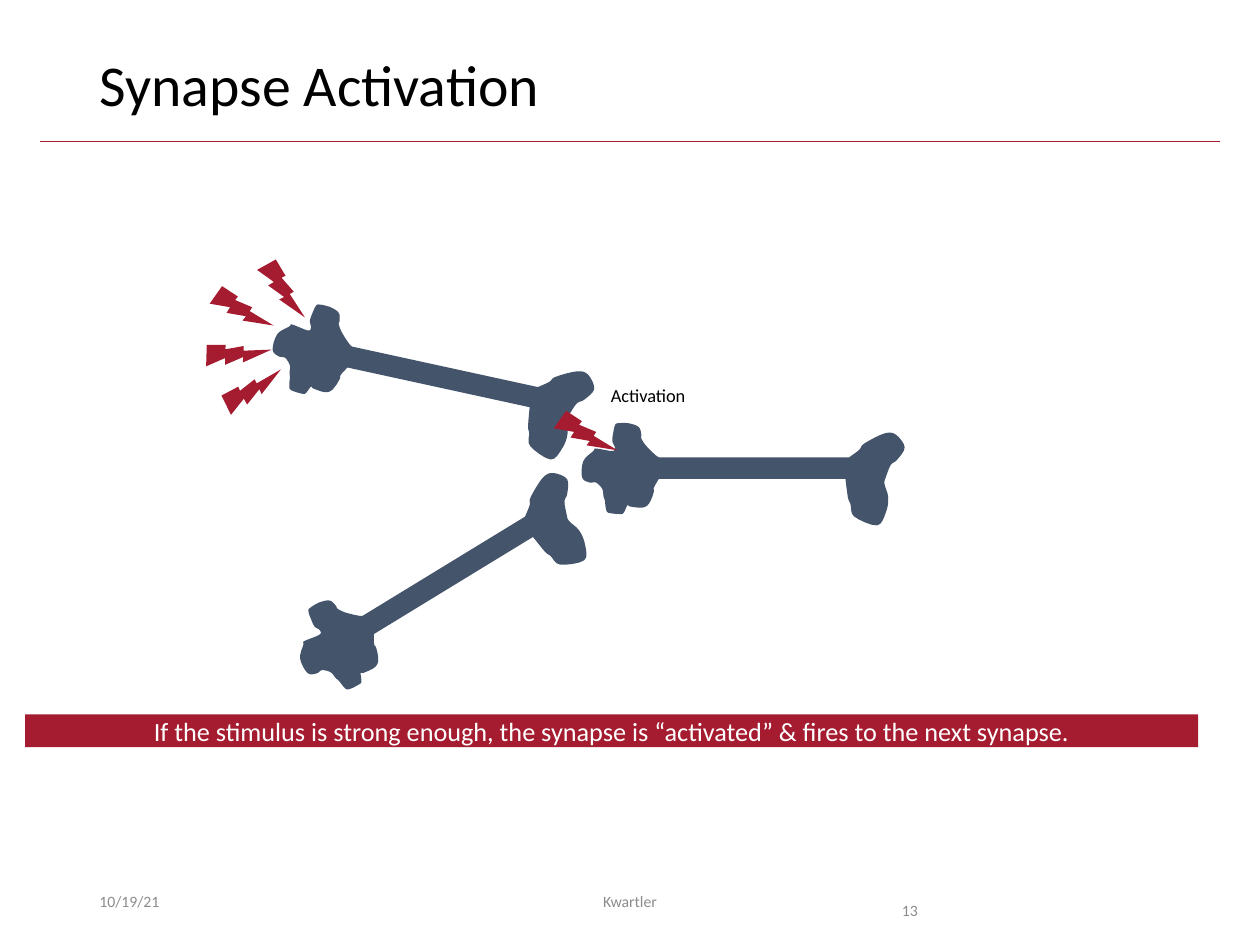
import pptx
import pptx.dml.color
import pptx.enum.shapes
import pptx.enum.text
import pptx.oxml
import pptx.util
from pptx.util import Inches

COLORS = {"crimson": "A51C30", "slate": "44546A", "black": "000000",
          "white": "FFFFFF", "gray": "8C8C8C"}
FONT = "Calibri"
ALIGN = pptx.enum.text.PP_ALIGN
ANCHOR = pptx.enum.text.MSO_ANCHOR
SHAPE = pptx.enum.shapes.MSO_SHAPE

TERMINAL = [
    (2.12, .27), (2.2, .21), (2.24, .16), (2.4, .08), (2.49, .09), (2.56, .19),
    (2.5, .29), (2.45, .33), (2.41, .43), (2.4, .48), (2.43, .59), (2.41, .71),
    (2.34, .81), (2.16, .74), (2.13, .64), (2.11, .59), (2.09, .44),
]
SOMA = [
    (.61, .44), (.57, .51), (.57, .54), (.55, .6), (.52, .65), (.47, .67),
    (.38, .66), (.36, .65), (.33, .71), (.3, .72), (.21, .71), (.19, .68),
    (.18, .61), (.17, .58), (.16, .52), (.11, .47), (.06, .47), (0, .43),
    (.01, .3), (.09, .22), (.11, .2), (.24, .22), (.26, .19), (.24, .14),
    (.25, .06), (.26, .02), (.28, 0), (.37, 0), (.45, .03), (.47, .09),
    (.47, .12), (.51, .18), (.58, .25), (.61, .27),
]
NEURONS = [((2.14, 2.62), 12.3), ((2.24, 4.25), 328.6), ((4.62, 3.36), 0)]
STIMULI = [((1.71, 2.23), 334.1), ((2.04, 2.06), 0),
           ((1.67, 2.59), 300.9), ((1.8, 2.88), 272.9)]


def rgb(name):
    """Return the named palette colour."""
    return pptx.dml.color.RGBColor.from_string(COLORS[name])


def write(frame, text, size, color, align=ALIGN.LEFT, anchor=ANCHOR.TOP, spacing=None):
    """Put one formatted run into a text frame."""
    frame.vertical_anchor = anchor
    paragraph = frame.paragraphs[0]
    paragraph.alignment = align
    paragraph.line_spacing = spacing
    run = paragraph.add_run()
    run.text = text
    run.font.size = pptx.util.Pt(size)
    run.font.name = FONT
    run.font.color.rgb = rgb(color)


def paint(shape, color):
    """Give a shape a flat fill with no line or shadow."""
    shape.shadow.inherit = False
    shape.fill.solid()
    shape.fill.fore_color.rgb = rgb(color)
    shape.line.fill.background()


def add_label(slide, box, text, size, color, wrap=True, **layout):
    """Add a text box with a single run."""
    frame = slide.shapes.add_textbox(*map(Inches, box)).text_frame
    frame.word_wrap = wrap
    write(frame, text, size, color, **layout)


def smooth(points, steps=4):
    """Return points along a Catmull-Rom curve through the given points."""
    padded = [points[0], *points, points[-1]]
    curve = [points[0]]
    for a, b, c, d in zip(padded, padded[1:], padded[2:], padded[3:]):
        for step in range(1, steps + 1):
            t = step / steps
            curve.append(tuple(
                (2 * q + (r - p) * t + (2 * p - 5 * q + 4 * r - s) * t ** 2
                 + (3 * q - p - 3 * r + s) * t ** 3) / 2
                for p, q, r, s in zip(a, b, c, d)))
    return curve


def add_neuron(slide, corner, rotation):
    """Draw a soma and terminal joined by an axon."""
    left, top = corner
    outline = [(Inches(left + x), Inches(top + y))
               for x, y in smooth(TERMINAL) + smooth(SOMA)]
    builder = slide.shapes.build_freeform(*outline[0])
    builder.add_line_segments(outline[1:], close=True)
    neuron = builder.convert_to_shape()
    neuron.rotation = rotation
    paint(neuron, "slate")


def add_bolt(slide, corner, rotation):
    """Draw one stimulus bolt."""
    bolt = slide.shapes.add_shape(
        SHAPE.LIGHTNING_BOLT, *map(Inches, (*corner, .38, .46)))
    bolt.rotation = rotation
    paint(bolt, "crimson")


def add_header(slide, box):
    """Place the title and the rule beneath it."""
    rule = slide.shapes.add_connector(
        pptx.enum.shapes.MSO_CONNECTOR.STRAIGHT,
        *map(Inches, (.32, 1.12, 9.68, 1.12)))
    rule.line.color.rgb = rgb("crimson")
    rule.line.width = pptx.util.Pt(.5)
    rule._element.spPr.append(pptx.oxml.parse_xml(
        '<a:effectLst xmlns:a="http://schemas.openxmlformats.org/drawingml/2006/main"/>'))
    title = slide.shapes.title
    title.left, title.top, title.width, title.height = map(Inches, box)
    title.text_frame.auto_size = pptx.enum.text.MSO_AUTO_SIZE.NONE
    write(title.text_frame, "Synapse Activation", 33, "black", spacing=.9)


def add_diagram(slide):
    """Draw the neurons, their stimuli and the activation they cause."""
    add_label(slide, (4.75, 3, .81, .28), "Activation", 10.5, "black", wrap=False)
    for corner, rotation in NEURONS:
        add_neuron(slide, corner, rotation)
    for corner, rotation in STIMULI:
        add_bolt(slide, corner, rotation)
    add_bolt(slide, (4.44, 3.22), 334.2)


def add_takeaway(slide, box):
    """Place the banner with the main message."""
    banner = slide.shapes.add_shape(SHAPE.RECTANGLE, *map(Inches, box))
    paint(banner, "crimson")
    frame = banner.text_frame
    frame.word_wrap = True
    frame.margin_left = frame.margin_right = Inches(.07)
    frame.margin_top = frame.margin_bottom = Inches(.04)
    write(frame, "If the stimulus is strong enough, the synapse is “activated” "
          "& fires to the next synapse.", 15, "white", ALIGN.CENTER, ANCHOR.MIDDLE)


def add_footer(slide, top, height):
    """Place the date, author and slide number."""
    add_label(slide, (.69, top, 2.25, height), "10/19/21", 9, "gray",
              anchor=ANCHOR.MIDDLE)
    add_label(slide, (3.31, top, 3.38, height), "Kwartler", 9, "gray",
              align=ALIGN.CENTER, anchor=ANCHOR.MIDDLE)
    add_label(slide, (7.06, top, .94, height), "13", 9, "gray", spacing=2.0)


def main():
    """Build and save the slide."""
    deck = pptx.Presentation()
    deck.slide_width, deck.slide_height = Inches(10), Inches(7.5)
    slide = deck.slides.add_slide(deck.slide_layouts[5])
    add_header(slide, (.69, .4, 8.62, .65))
    add_diagram(slide)
    add_takeaway(slide, (.2, 5.67, 9.31, .26))
    add_footer(slide, 6.95, .4)
    deck.save("out.pptx")


if __name__ == "__main__":
    main()
